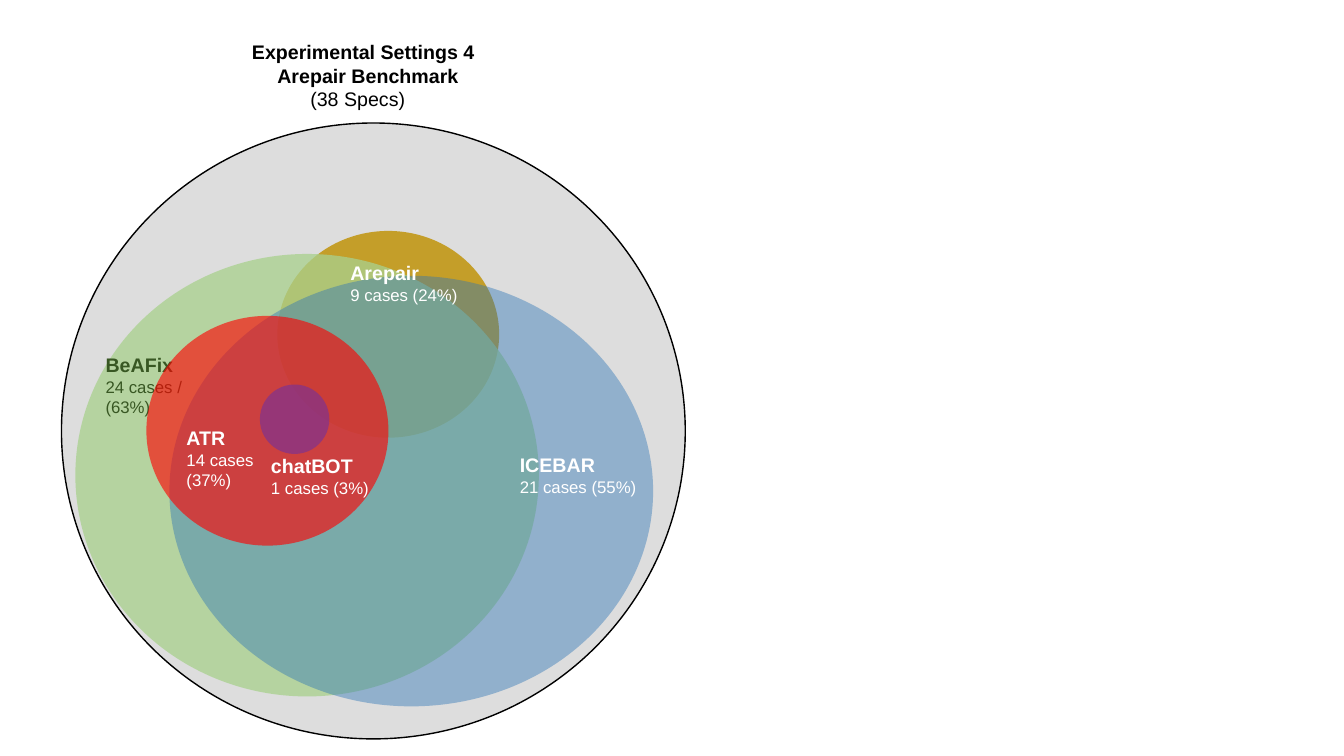
import pptx
import pptx.util
import pptx.dml.color
import pptx.enum.shapes
import pptx.enum.text
import pptx.oxml.ns
from lxml import etree

Cm = pptx.util.Cm
Pt = pptx.util.Pt
qn = pptx.oxml.ns.qn

TITLE = ("Experimental Settings 4", 6.1, 0.87, 6.63, 0.86)
BENCHMARK = ("Arepair Benchmark", "(38 Specs)", 6.74, 1.47, "000000", 14)
SPECS_INDENT = 0.83
LABEL_WIDTH = 5.59

CIRCLES = {
    "All specs": (1.55, 3.1, 15.72, 15.52, "BFBFBF", 52),
    "Arepair": (6.99, 5.82, 5.59, 5.21, "BF9000", 81),
    "BeAFix": (1.9, 6.4, 11.68, 11.15, "A9D18E", 76),
    "ICEBAR": (4.27, 6.95, 12.19, 10.85, "2E75B6", 43),
    "ATR": (3.69, 7.96, 6.1, 5.79, "FF0000", 62),
    "chatBOT": (6.55, 9.69, 1.75, 1.75, "7030A0", 58),
}
OUTLINED = "All specs"
LABELS = {
    "BeAFix": ("24 cases /\n(63%)", 2.41, 8.76, "385723"),
    "ATR": ("14 cases\n(37%)", 4.45, 10.6, "FFFFFF"),
    "ICEBAR": ("21 cases (55%)", 12.85, 11.29, "FFFFFF"),
    "chatBOT": ("1 cases (3%)", 6.58, 11.32, "FFFFFF"),
    "Arepair": ("9 cases (24%)", 8.58, 6.44, "FFFFFF"),
}
STACK = [
    ("circle", "All specs"), ("circle", "Arepair"),
    ("circle", "BeAFix"), ("label", "BeAFix"),
    ("circle", "ICEBAR"), ("circle", "ATR"), ("circle", "chatBOT"),
    ("label", "ATR"), ("label", "ICEBAR"), ("label", "chatBOT"), ("label", "Arepair"),
]


def paint(color_format, value):
    color_format.rgb = pptx.dml.color.RGBColor.from_string(value)


def apply(target, values):
    for key, value in values.items():
        setattr(target, key, value)


def write(para, text, size, bold, color):
    para.text = text
    para.alignment = pptx.enum.text.PP_ALIGN.LEFT
    apply(para, {"line_spacing": 1.0, "space_before": Pt(0)})
    for span in para.runs:
        apply(span.font, {"name": "Arial", "size": Pt(size), "bold": bold})
        paint(span.font.color, color)
    for line_break in para._p.findall(qn("a:br")):
        etree.SubElement(line_break, qn("a:rPr"), sz=str(size * 100))


def set_frame(frame):
    apply(frame, {
        "word_wrap": True,
        "auto_size": pptx.enum.text.MSO_AUTO_SIZE.NONE,
        "vertical_anchor": pptx.enum.text.MSO_ANCHOR.TOP,
        "margin_left": Cm(0.25), "margin_right": Cm(0.25),
        "margin_top": Cm(0.13), "margin_bottom": Cm(0.13),
    })


def add_title(page):
    text, left, top, width, height = TITLE
    box = page.shapes.title
    apply(box, {"left": Cm(left), "top": Cm(top), "width": Cm(width), "height": Cm(height)})
    set_frame(box.text_frame)
    write(box.text_frame.paragraphs[0], text, 14, True, "000000")


def add_label(page, heading, detail, left, top, color, detail_size=12):
    height = 0.86 + 0.51 * len(detail.split("\n"))
    box = page.shapes.add_textbox(Cm(left), Cm(top), Cm(LABEL_WIDTH), Cm(height))
    set_frame(box.text_frame)
    write(box.text_frame.paragraphs[0], heading, 14, True, color)
    para = box.text_frame.add_paragraph()
    write(para, detail, detail_size, False, color)
    return para


def add_circle(page, left, top, width, height, color, opacity):
    circle = page.shapes.add_shape(
        pptx.enum.shapes.MSO_SHAPE.OVAL, Cm(left), Cm(top), Cm(width), Cm(height))
    circle.shadow.inherit = False
    circle.fill.solid()
    paint(circle.fill.fore_color, color)
    tone = circle._element.spPr.find(qn("a:solidFill"))[0]
    etree.SubElement(tone, qn("a:alpha"), val=str(opacity * 1000))
    circle.line.fill.background()
    return circle


def main():
    deck = pptx.Presentation()
    apply(deck, {"slide_width": Cm(33.87), "slide_height": Cm(19.05)})
    page = deck.slides.add_slide(deck.slide_layouts[5])
    page.background.fill.solid()
    paint(page.background.fill.fore_color, "FFFFFF")
    add_title(page)
    specs = add_label(page, *BENCHMARK)
    specs._p.get_or_add_pPr().set("marL", str(Cm(SPECS_INDENT)))
    for kind, name in STACK:
        if kind == "label":
            add_label(page, name, *LABELS[name])
            continue
        circle = add_circle(page, *CIRCLES[name])
        if name == OUTLINED:
            circle.line.fill.solid()
            paint(circle.line.color, "000000")
            circle.line.width = Pt(1)
    deck.save("out.pptx")


if __name__ == "__main__":
    main()
